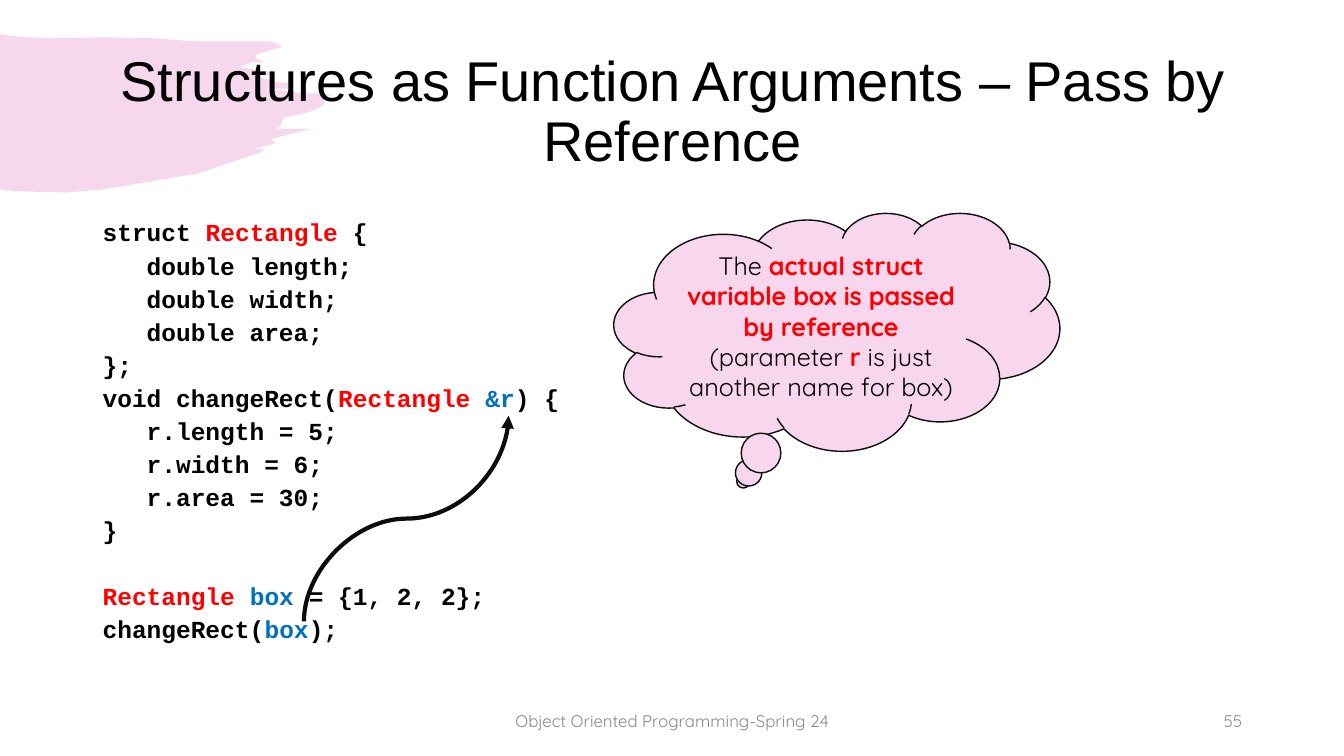
from dataclasses import dataclass

from lxml.etree import SubElement
from pptx import Presentation
from pptx.dml.color import RGBColor
from pptx.enum.shapes import MSO_CONNECTOR, MSO_SHAPE
from pptx.enum.text import MSO_ANCHOR, MSO_AUTO_SIZE, PP_ALIGN
from pptx.oxml.ns import qn
from pptx.util import Pt

PX = 9144  # 100 px to the inch


@dataclass(frozen=True)
class Theme:
    head: str = "Arial"
    body: str = "Quicksand"
    mono: str = "Courier New"
    black: str = "000000"
    red: str = "FF0000"
    blue: str = "0070C0"
    gray: str = "888888"
    ink: str = "0C0C0C"
    pink: str = "F7D6EE"
    brush: str = "D739AE"
    title: float = 40
    note: float = 18
    code: float = 17.5
    foot: float = 12


T = Theme()
SIZE = (1333, 750)

TITLE = "Structures as Function Arguments – Pass by Reference"
TITLE_BOX = (92, 40, 1150, 145)

# Each line is a list of (text, colour) parts; blocks are set apart by a gap.
BLOCKS = [
    [
        [("struct ", T.black), ("Rectangle", T.red), (" {", T.black)],
        [("   double length;", T.black)],
        [("   double width;", T.black)],
        [("   double area;", T.black)],
        [("};", T.black)],
        [("void changeRect(", T.black), ("Rectangle ", T.red),
         ("&r", T.blue), (") {", T.black)],
        [("   r.length = 5;", T.black)],
        [("   r.width = 6;", T.black)],
        [("   r.area = 30;", T.black)],
        [("}", T.black)],
    ],
    [
        [("Rectangle ", T.red), ("box ", T.blue), ("= {1, 2, 2};", T.black)],
        [("changeRect(", T.black), ("box", T.blue), (");", T.black)],
    ],
]
CODE_BOX = (92, 220, 1150, 455)
LINE_GAP, BLOCK_GAP = 10, 33.5

NOTE = [
    ("The ", T.black),
    ("actual struct variable box is passed by reference", T.red),
    (" (parameter ", T.black),
    ("r", T.red),
    (" is just another name for box)", T.black),
]
NOTE_BOX = (609, 211, 442, 236)
NOTE_TAIL = (-0.21, 0.63)

FOOTERS = [
    ("Object Oriented Programming-Spring 24", (442, 695, 450, 40), PP_ALIGN.CENTER),
    ("55", (942, 695, 300, 40), PP_ALIGN.RIGHT),
]

ARROW = (301, 413, 505, 616)  # corners before the quarter turn

STROKE = [
    (0, 34), (6, 35), (25, 37), (66, 38), (102, 37), (151, 38), (194, 41),
    (248, 41), (266, 41), (275, 43), (280, 47), (271, 49), (255, 54), (253, 57),
    (256, 59), (262, 62), (250, 62), (238, 66), (246, 68), (256, 70), (266, 71),
    (275, 74), (251, 75), (263, 78), (273, 81), (280, 82), (288, 83), (290, 85),
    (287, 88), (284, 88), (263, 88), (296, 92), (330, 94), (321, 97), (322, 103),
    (318, 106), (307, 111), (300, 113), (283, 116), (280, 120), (278, 125),
    (274, 128), (308, 128), (269, 138), (273, 142), (252, 148), (263, 148),
    (256, 152), (197, 172), (102, 188), (65, 191), (23, 190), (7, 189), (0, 188),
]


def emu(box):
    return [n * PX for n in box]


def color(code):
    return RGBColor.from_string(code)


def fill_line(para, parts, face, size, bold=()):
    """Add coloured runs; those whose colour is in bold are set bold."""
    for text, tint in parts:
        run = para.add_run()
        run.text = text
        font = run.font
        font.name, font.size, font.bold = face, Pt(size), tint in bold
        font.color.rgb = color(tint)


def set_frame(shape, anchor):
    frame = shape.text_frame
    frame.word_wrap = True
    frame.auto_size = MSO_AUTO_SIZE.NONE
    frame.vertical_anchor = anchor
    return frame


def add_brush(slide):
    pen = slide.shapes.build_freeform(*STROKE[0], scale=PX)
    pen.add_line_segments(STROKE[1:], close=True)
    brush = pen.convert_to_shape()
    brush.shadow.inherit = False
    brush.line.fill.background()
    brush.fill.solid()
    brush.fill.fore_color.rgb = color(T.brush)
    tint = brush._element.spPr.find(qn("a:solidFill"))[0]
    SubElement(tint, qn("a:alpha"), val="20000")
    slide.shapes._spTree.insert(2, brush._element)  # behind the title


def add_title(slide):
    title = slide.shapes.title
    title.left, title.top, title.width, title.height = emu(TITLE_BOX)
    para = set_frame(title, MSO_ANCHOR.MIDDLE).paragraphs[0]
    para.alignment, para.line_spacing = PP_ALIGN.CENTER, 0.9
    fill_line(para, [(TITLE, T.black)], T.head, T.title)


def add_code(slide):
    frame = set_frame(slide.shapes.add_textbox(*emu(CODE_BOX)), MSO_ANCHOR.TOP)
    para = frame.paragraphs[0]
    for b, block in enumerate(BLOCKS):
        for n, parts in enumerate(block):
            if b or n:
                para = frame.add_paragraph()
                para.space_before = Pt(LINE_GAP if n else BLOCK_GAP)
            para.line_spacing = 0.65
            fill_line(para, parts, T.mono, T.code, (T.black, T.red, T.blue))


def add_footers(slide):
    for text, box, align in FOOTERS:
        frame = set_frame(slide.shapes.add_textbox(*emu(box)), MSO_ANCHOR.MIDDLE)
        para = frame.paragraphs[0]
        para.alignment = align
        fill_line(para, [(text, T.gray)], T.body, T.foot)


def add_arrow(slide):
    arrow = slide.shapes.add_connector(MSO_CONNECTOR.CURVE, *emu(ARROW))
    arrow.line.color.rgb = color(T.ink)
    arrow.line.width = Pt(3)
    props = arrow._element.spPr
    props.find(qn("a:xfrm")).set("rot", str(270 * 60000))
    SubElement(arrow.line._get_or_add_ln(), qn("a:tailEnd"), type="triangle")
    SubElement(props, qn("a:effectLst"))


def add_note(slide):
    cloud = slide.shapes.add_shape(MSO_SHAPE.CLOUD_CALLOUT, *emu(NOTE_BOX))
    cloud.adjustments[0], cloud.adjustments[1] = NOTE_TAIL
    cloud.shadow.inherit = False
    cloud.fill.solid()
    cloud.fill.fore_color.rgb = color(T.pink)
    cloud.line.color.rgb = color(T.ink)
    cloud.line.width = Pt(1)
    para = set_frame(cloud, MSO_ANCHOR.MIDDLE).paragraphs[0]
    para.alignment = PP_ALIGN.CENTER
    fill_line(para, NOTE, T.body, T.note, (T.red,))


def main():
    deck = Presentation()
    deck.slide_width, deck.slide_height = emu(SIZE)
    slide = deck.slides.add_slide(deck.slide_layouts[5])
    for add in (add_brush, add_title, add_code, add_footers, add_arrow, add_note):
        add(slide)
    deck.save("out.pptx")


if __name__ == "__main__":
    main()
